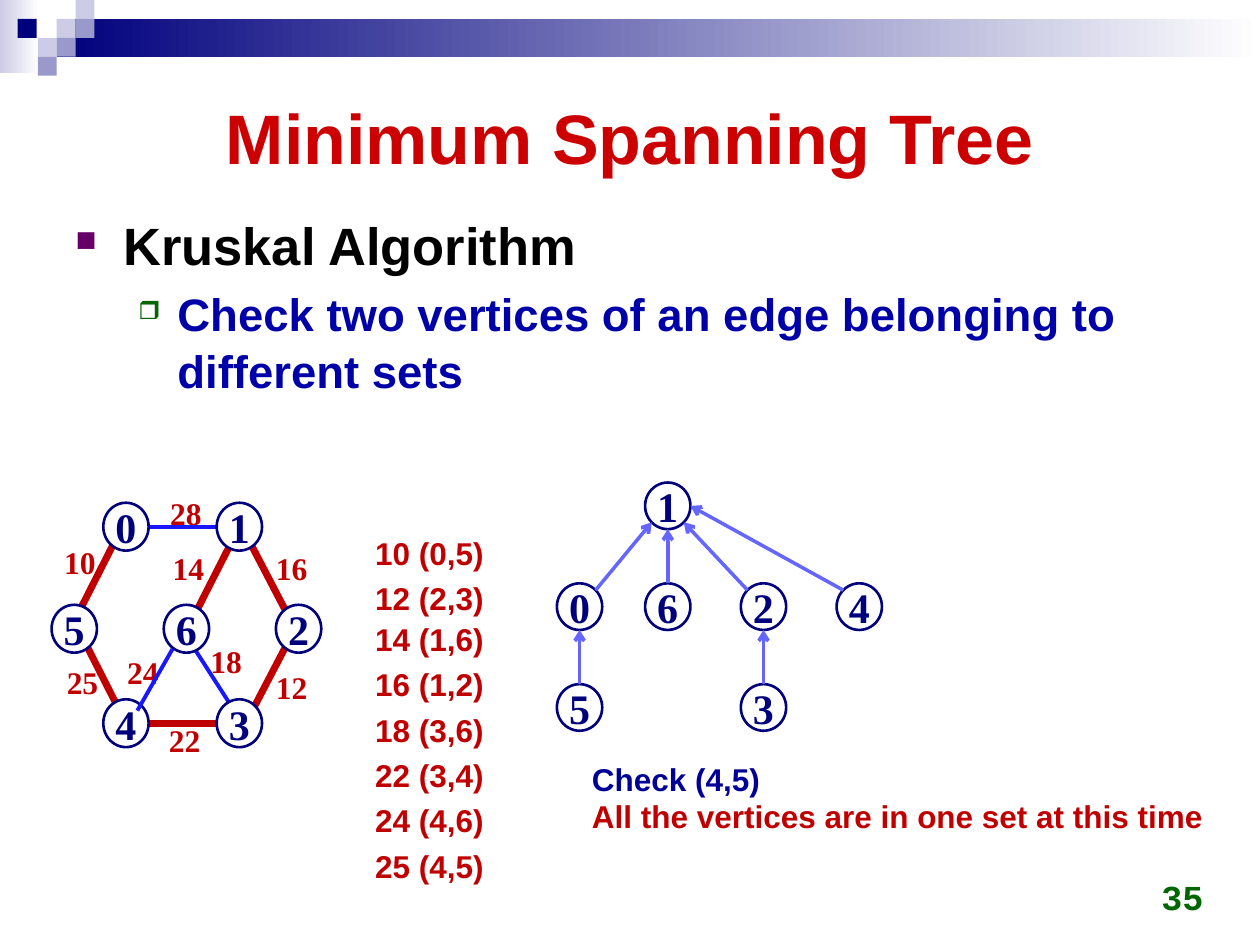
from dataclasses import dataclass
import math

from lxml import etree
from pptx import Presentation
from pptx import util as u
from pptx.dml.color import RGBColor
from pptx.enum import shapes, text
from pptx.oxml import ns

Inches = u.Inches


@dataclass(frozen=True)
class Theme:
    navy: str = "00007D"
    lavender: str = "CCCCE6"
    periwinkle: str = "9999CC"
    white: str = "FFFFFF"
    black: str = "000000"
    title: str = "CC0000"
    red: str = "C00000"
    subpoint: str = "0000A8"
    check: str = "000099"
    bullet: str = "660066"
    green: str = "006600"
    edge: str = "1818FF"
    arrow: str = "6565FF"
    sans: str = "Arial"
    serif: str = "Times New Roman"
    mono: str = "Courier New"
    title_size: int = 40
    point_size: int = 30
    subpoint_size: int = 26
    vertex_size: int = 24
    number_size: int = 20
    label_size: int = 18


THEME = Theme()
LEFT, CENTER, RIGHT = text.PP_ALIGN.LEFT, text.PP_ALIGN.CENTER, text.PP_ALIGN.RIGHT
TOP, MIDDLE, BOTTOM = text.MSO_ANCHOR.TOP, text.MSO_ANCHOR.MIDDLE, text.MSO_ANCHOR.BOTTOM

TILE = 0.15
TILES = [
    (0.45, 0.15, THEME.lavender), (0.6, 0, THEME.lavender),
    (0.6, 0.15, THEME.periwinkle), (0.3, 0.3, THEME.lavender),
    (0.14, 0.15, THEME.navy), (0.45, 0.3, THEME.periwinkle),
    (0.3, 0.45, THEME.periwinkle),
]

# Start, end, weight, top left of the weight, in the spanning tree
GRAPH_EDGES = [
    ((1.06, 4.18), (1.95, 4.18), "28", (1.25, 3.87), False),
    ((1.06, 5.74), (1.95, 5.74), "22", (1.24, 5.67), True),
    ((1.84, 5.61), (1.48, 5.05), "18", (1.57, 5.05), False),
    ((2.31, 5.05), (1.95, 5.74), "12", (2.09, 5.25), True),
    ((1.95, 4.24), (2.31, 4.93), "16", (2.09, 4.31), True),
    ((1.57, 4.83), (1.9, 4.18), "14", (1.27, 4.31), True),
    ((0.65, 5.05), (1, 5.74), "25", (0.43, 5.21), True),
    ((0.94, 4.24), (0.59, 4.93), "10", (0.41, 4.26), True),
]
EDGE_ABOVE_VERTICES = ((1.09, 5.64), (1.37, 5.15), "24", (0.91, 5.13), False)
GRAPH_VERTICES = {
    "5": (0.41, 4.8), "0": (0.82, 3.99), "4": (0.82, 5.55), "6": (1.3, 4.8),
    "1": (1.72, 3.99), "3": (1.72, 5.55), "2": (2.19, 4.8),
}
GRAPH_VERTEX_SIZE = (0.36, 0.38)

ROOT_TOP, LEVEL_GAP = 3.83, 0.8
TREE_VERTICES = {
    name: (left, ROOT_TOP + LEVEL_GAP * level)
    for name, left, level in [
        ("1", 5.12, 0), ("0", 4.42, 1), ("6", 5.12, 1), ("2", 5.88, 1),
        ("4", 6.64, 1), ("5", 4.42, 2), ("3", 5.88, 2),
    ]
}
TREE_VERTEX_SIZE = (0.36, 0.37)
# Child, angle on the child, parent, angle on the parent (clockwise from the right)
TREE_LINKS = [
    ("5", 270, "0", 90), ("3", 270, "2", 90), ("6", 270, "1", 90),
    ("2", 225, "1", 45), ("4", 225, "1", 0), ("0", 315, "1", 135),
]

EDGE_GAP = 0.36
SORTED_EDGES = [
    (4.19, ["10 (0,5)", "12 (2,3)"]),
    (4.87, ["14 (1,6)", "16 (1,2)", "18 (3,6)", "22 (3,4)", "24 (4,6)", "25 (4,5)"]),
]


def color(value):
    return RGBColor.from_string(value)


def write(paragraph, content, size=THEME.label_size, font=THEME.sans, fill=THEME.red, align=LEFT):
    paragraph.alignment = align
    run = paragraph.add_run()
    run.text = content
    run.font.size = u.Pt(size)
    run.font.name = font
    run.font.bold = True
    run.font.color.rgb = color(fill)


def add_text(slide, box, content, wrap=True, anchor=TOP, **style):
    shape = slide.shapes.add_textbox(*map(Inches, box))
    frame = shape.text_frame
    frame.word_wrap = wrap
    frame.vertical_anchor = anchor
    if not wrap:
        frame.auto_size = text.MSO_AUTO_SIZE.SHAPE_TO_FIT_TEXT
    write(frame.paragraphs[0], content, **style)
    return frame


def add_rectangle(slide, box, *colors):
    """One colour gives a solid fill, two a left-to-right gradient."""
    shape = slide.shapes.add_shape(shapes.MSO_SHAPE.RECTANGLE, *map(Inches, box))
    shape.shadow.inherit = False
    shape.line.fill.background()
    if len(colors) == 1:
        shape.fill.solid()
        shape.fill.fore_color.rgb = color(colors[0])
    else:
        shape.fill.gradient()
        shape.fill.gradient_angle = 0
        for stop, value in zip(shape.fill.gradient_stops, colors):
            stop.color.rgb = color(value)


def add_vertex(slide, name, position, size):
    shape = slide.shapes.add_shape(shapes.MSO_SHAPE.OVAL, *map(Inches, position + size))
    shape.shadow.inherit = False
    shape.fill.solid()
    shape.fill.fore_color.rgb = color(THEME.white)
    shape.line.color.rgb = color(THEME.navy)
    shape.line.width = u.Pt(1.5)
    frame = shape.text_frame
    frame.word_wrap = False
    frame.vertical_anchor = MIDDLE
    frame.margin_left = frame.margin_right = Inches(0.08)
    frame.margin_top = frame.margin_bottom = Inches(0.06)
    write(frame.paragraphs[0], name, size=THEME.vertex_size, font=THEME.serif,
          fill=THEME.navy, align=CENTER)


def add_line(slide, start, end, stroke, width, arrow=False):
    line = slide.shapes.add_connector(
        shapes.MSO_CONNECTOR.STRAIGHT, *map(Inches, start + end))
    line.line.color.rgb = color(stroke)
    line.line.width = u.Pt(width)
    if arrow:
        etree.SubElement(line.line._get_or_add_ln(), ns.qn("a:tailEnd"), type="arrow")
    etree.SubElement(line._element.spPr, ns.qn("a:effectLst"))


def add_bullet(paragraph, symbol, fill, margin, hanging):
    properties = paragraph._p.get_or_add_pPr()
    properties.set("marL", str(Inches(margin)))
    properties.set("indent", str(-Inches(hanging)))
    bullet_color = etree.SubElement(properties, ns.qn("a:buClr"))
    etree.SubElement(bullet_color, ns.qn("a:srgbClr"), val=fill)
    etree.SubElement(properties, ns.qn("a:buSzPct"), val="55000")
    etree.SubElement(properties, ns.qn("a:buChar"), char=symbol)


def add_banner(slide):
    add_rectangle(slide, (0, 0, 0.31, 0.58), THEME.lavender, THEME.white)
    add_rectangle(slide, (0.45, 0.15, 9.55, 0.3), THEME.navy, THEME.white)
    for left, top, fill in TILES:
        add_rectangle(slide, (left, top, TILE, TILE), fill)


def add_outline(slide):
    frame = add_text(slide, (0.5, 1.62, 9, 5.2), "Kruskal Algorithm",
                     size=THEME.point_size, fill=THEME.black)
    point, subpoint = frame.paragraphs[0], frame.add_paragraph()
    subpoint.level = 1
    write(subpoint, "Check two vertices of an edge belonging to different sets",
          size=THEME.subpoint_size, fill=THEME.subpoint)
    for paragraph, space in ((point, 4.5), (subpoint, 4)):
        paragraph.line_spacing = 1.05
        paragraph.space_before = u.Pt(space)
    add_bullet(point, "■", THEME.bullet, 0.38, 0.38)
    add_bullet(subpoint, "❒", THEME.green, 0.81, 0.31)


def add_edge(slide, start, end, weight, label, in_tree):
    add_text(slide, label + (0.45, 0.4), weight, wrap=False, font=THEME.serif, align=CENTER)
    add_line(slide, start, end, THEME.red if in_tree else THEME.edge, 4 if in_tree else 2.25)


def add_graph(slide):
    for edge in GRAPH_EDGES:
        add_edge(slide, *edge)
    for name, position in GRAPH_VERTICES.items():
        add_vertex(slide, name, position, GRAPH_VERTEX_SIZE)
    add_edge(slide, *EDGE_ABOVE_VERTICES)


def rim_point(name, angle):
    (left, top), (width, height) = TREE_VERTICES[name], TREE_VERTEX_SIZE
    turn = math.radians(angle)
    return (left + width / 2 * (1 + math.cos(turn)), top + height / 2 * (1 + math.sin(turn)))


def add_set_tree(slide):
    for name, position in TREE_VERTICES.items():
        add_vertex(slide, name, position, TREE_VERTEX_SIZE)
    for child, child_angle, parent, parent_angle in TREE_LINKS:
        add_line(slide, rim_point(child, child_angle), rim_point(parent, parent_angle),
                 THEME.arrow, 2, arrow=True)


def add_sorted_edges(slide):
    for top, edges in SORTED_EDGES:
        for row, edge in enumerate(edges):
            add_text(slide, (2.88, top + EDGE_GAP * row, 1.07, 0.4), edge, wrap=False)


def main():
    presentation = Presentation()
    presentation.slide_width, presentation.slide_height = Inches(10), Inches(7.5)
    slide = presentation.slides.add_slide(presentation.slide_layouts[6])
    add_banner(slide)
    add_text(slide, (0.5, 0.5, 9, 1.16), "Minimum Spanning Tree", anchor=MIDDLE,
             size=THEME.title_size, fill=THEME.title, align=CENTER)
    add_outline(slide)
    add_text(slide, (7.32, 6.83, 2.33, 0.5), "35", anchor=BOTTOM, size=THEME.number_size,
             font=THEME.mono, fill=THEME.green, align=RIGHT)
    add_sorted_edges(slide)
    remark = add_text(slide, (4.6, 5.98, 5.1, 0.71), "Check (4,5)", wrap=False, fill=THEME.check)
    write(remark.add_paragraph(), "All the vertices are in one set at this time")
    add_set_tree(slide)
    add_graph(slide)
    presentation.save("out.pptx")


if __name__ == "__main__":
    main()
